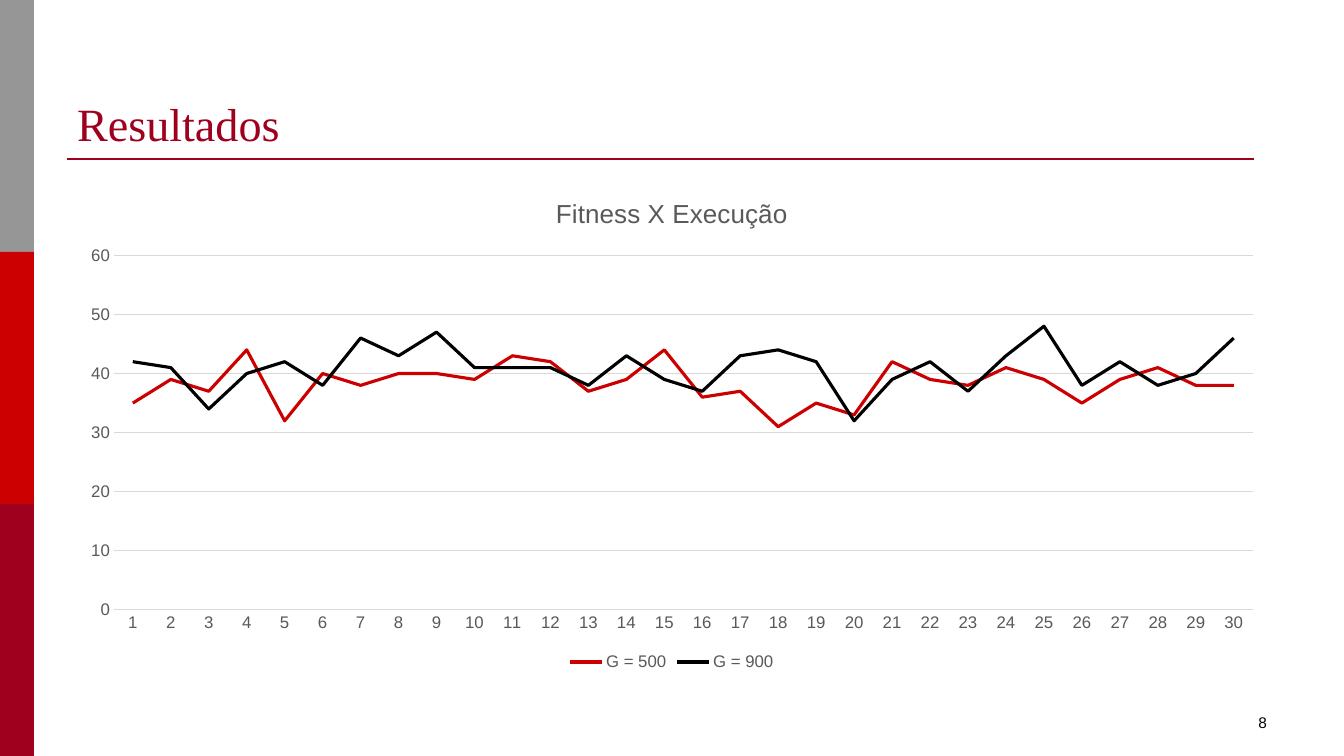
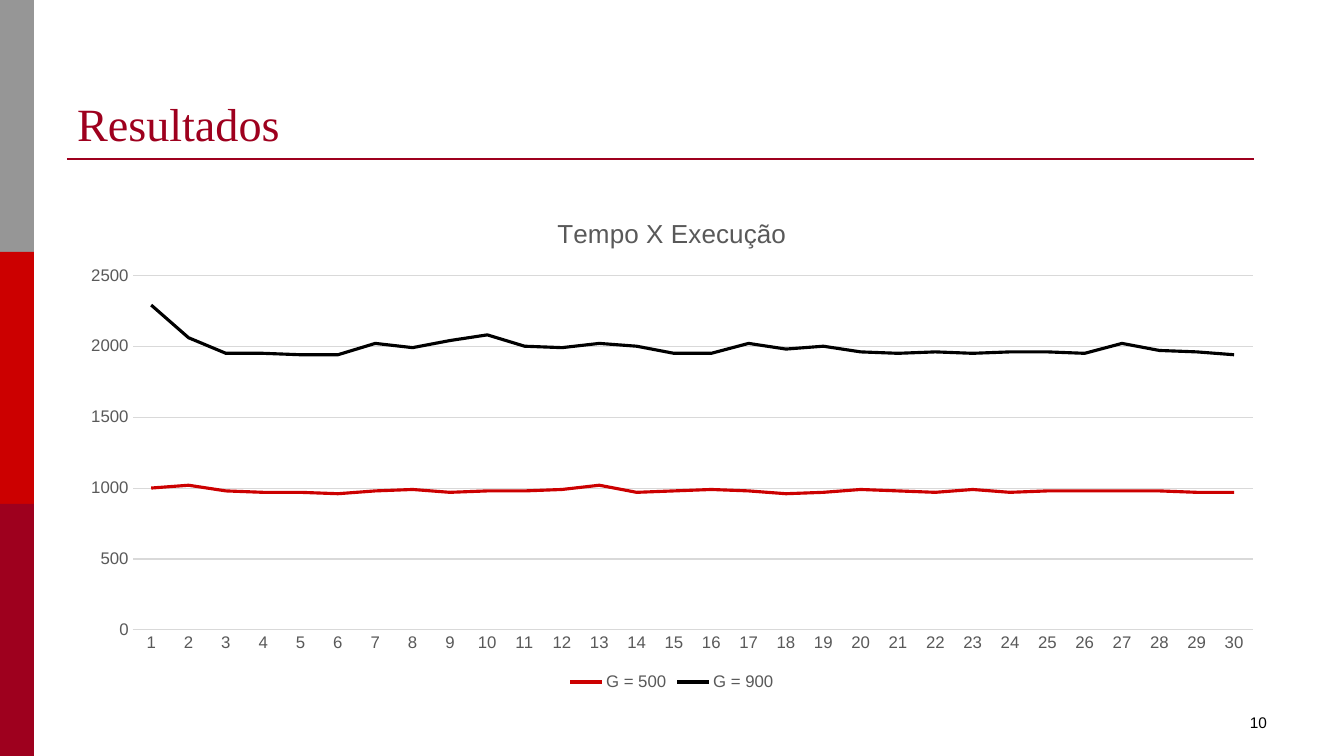
import lxml.etree
import pptx
import pptx.chart.data
import pptx.dml.color
import pptx.enum.chart
import pptx.enum.shapes
import pptx.enum.text
import pptx.oxml.ns
import pptx.util

RGBColor = pptx.dml.color.RGBColor
GREY = RGBColor(0x96, 0x96, 0x96)
RED = RGBColor(0xCC, 0x00, 0x00)
WINE = RGBColor(0x9E, 0x00, 0x1E)
BLACK = RGBColor(0x00, 0x00, 0x00)
LABEL_GREY = RGBColor(0x59, 0x59, 0x59)
GRID_GREY = RGBColor(0xD9, 0xD9, 0xD9)

EMU_PER_PIXEL = 914400 / 100.8
PAGE_WIDTH, PAGE_HEIGHT = 1344, 756
TITLE_BOX = (67, 30, 1210, 126)
NUMBER_BOX = (964, 708, 313, 37)
SIDEBAR_BOX = (0, 0, 34, PAGE_HEIGHT)
TITLE_ONLY = 5

FITNESS = {
    "G = 500": (35, 39, 37, 44, 32, 40, 38, 40, 40, 39, 43, 42, 37, 39, 44,
                36, 37, 31, 35, 33, 42, 39, 38, 41, 39, 35, 39, 41, 38, 38),
    "G = 900": (42, 41, 34, 40, 42, 38, 46, 43, 47, 41, 41, 41, 38, 43, 39,
                37, 43, 44, 42, 32, 39, 42, 37, 43, 48, 38, 42, 38, 40, 46),
}
TIMES = {
    "G = 500": (1000, 1020, 980, 970, 970, 960, 980, 990, 970, 980,
                980, 990, 1020, 970, 980, 990, 980, 960, 970, 990,
                980, 970, 990, 970, 980, 980, 980, 980, 970, 970),
    "G = 900": (2290, 2060, 1950, 1950, 1940, 1940, 2020, 1990, 2040, 2080,
                2000, 1990, 2020, 2000, 1950, 1950, 2020, 1980, 2000, 1960,
                1950, 1960, 1950, 1960, 1960, 1950, 2020, 1970, 1960, 1940),
}


def emu(*pixels):
    """Turn pixel lengths into EMU."""
    return [pptx.util.Emu(round(pixel * EMU_PER_PIXEL)) for pixel in pixels]


def style_font(font, size, color, name="Arial"):
    """Set the size, colour and typeface of a font."""
    font.size = pptx.util.Pt(size)
    font.color.rgb = color
    font.name = name


def style_line(line, color, width):
    """Set the colour and width in points of a line."""
    line.color.rgb = color
    line.width = pptx.util.Pt(width)


def add_sidebar(page, box):
    """Stack three equal colour bands in the box."""
    left, top, width, height = box
    colors = (GREY, RED, WINE)
    band_height = height / len(colors)
    for index, color in enumerate(colors):
        band = page.shapes.add_shape(
            pptx.enum.shapes.MSO_SHAPE.RECTANGLE,
            *emu(left, top + index * band_height, width, band_height))
        band.shadow.inherit = False
        band.fill.solid()
        band.fill.fore_color.rgb = color
        band.line.fill.background()


def add_title(page, box, text):
    """Place the title at the foot of the box with a rule below it."""
    left, top, width, height = box
    title = page.shapes.title
    title.left, title.top, title.width, title.height = emu(*box)
    frame = title.text_frame
    frame.auto_size = pptx.enum.text.MSO_AUTO_SIZE.NONE
    frame.vertical_anchor = pptx.enum.text.MSO_ANCHOR.BOTTOM
    para = frame.paragraphs[0]
    para.alignment = pptx.enum.text.PP_ALIGN.LEFT
    span = para.add_run()
    span.text = text
    style_font(span.font, 33, WINE, "Times New Roman")

    rule_top = top + height + 3
    rule = page.shapes.add_connector(
        pptx.enum.shapes.MSO_CONNECTOR.STRAIGHT,
        *emu(left, rule_top, left + width - 23, rule_top))
    style_line(rule.line, WINE, 1.5)
    lxml.etree.SubElement(rule.element.spPr, pptx.oxml.ns.qn("a:effectLst"))


def add_page_number(page, box, number):
    """Write the page number at the right of the box."""
    frame = page.shapes.add_textbox(*emu(*box)).text_frame
    frame.word_wrap = True
    para = frame.paragraphs[0]
    para.alignment = pptx.enum.text.PP_ALIGN.RIGHT
    span = para.add_run()
    span.text = str(number)
    style_font(span.font, 11, BLACK)


def add_line_chart(page, box, heading, results, maximum, step):
    """Fill the box with a line chart of the results of each run."""
    data = pptx.chart.data.CategoryChartData()
    runs = len(next(iter(results.values())))
    data.categories = [str(run) for run in range(1, runs + 1)]
    for name, values in results.items():
        data.add_series(name, values)
    chart = page.shapes.add_chart(
        pptx.enum.chart.XL_CHART_TYPE.LINE, *emu(*box), data).chart
    style_font(chart.font, 10, BLACK)

    chart.has_title = True
    span = chart.chart_title.text_frame.paragraphs[0].add_run()
    span.text = heading
    style_font(span.font, 18.6, LABEL_GREY)
    span.font.bold = False
    chart.chart_title.include_in_layout = False

    chart.has_legend = True
    chart.legend.position = pptx.enum.chart.XL_LEGEND_POSITION.BOTTOM
    chart.legend.include_in_layout = False
    style_font(chart.legend.font, 12, LABEL_GREY)

    for axis in (chart.category_axis, chart.value_axis):
        axis.major_tick_mark = pptx.enum.chart.XL_TICK_MARK.NONE
        axis.minor_tick_mark = pptx.enum.chart.XL_TICK_MARK.NONE
        style_font(axis.tick_labels.font, 12, LABEL_GREY)
    style_line(chart.category_axis.format.line, GRID_GREY, 0.75)
    value_axis = chart.value_axis
    value_axis.format.line.fill.background()
    value_axis.has_major_gridlines = True
    style_line(value_axis.major_gridlines.format.line, GRID_GREY, 0.75)
    value_axis.minimum_scale = 0
    value_axis.maximum_scale = maximum
    value_axis.major_unit = step

    plot = chart.plots[0]
    plot.vary_by_categories = False
    for series, color in zip(plot.series, (RED, BLACK)):
        series.smooth = False
        series.marker.style = pptx.enum.chart.XL_MARKER_STYLE.NONE
        style_line(series.format.line, color, 2.25)


def add_results_page(deck, number, chart_top, *chart_parts):
    """Add a results page with its frame, title, chart and number."""
    page = deck.slides.add_slide(deck.slide_layouts[TITLE_ONLY])
    add_sidebar(page, SIDEBAR_BOX)
    add_title(page, TITLE_BOX, "Resultados")
    add_line_chart(page, (67, chart_top, 1210, 499), *chart_parts)
    add_page_number(page, NUMBER_BOX, number)


deck = pptx.Presentation()
deck.slide_width, deck.slide_height = emu(PAGE_WIDTH, PAGE_HEIGHT)
add_results_page(deck, 8, 176, "Fitness X Execução", FITNESS, 60, 10)
add_results_page(deck, 10, 196, "Tempo X Execução", TIMES, 2500, 500)
deck.save("out.pptx")
